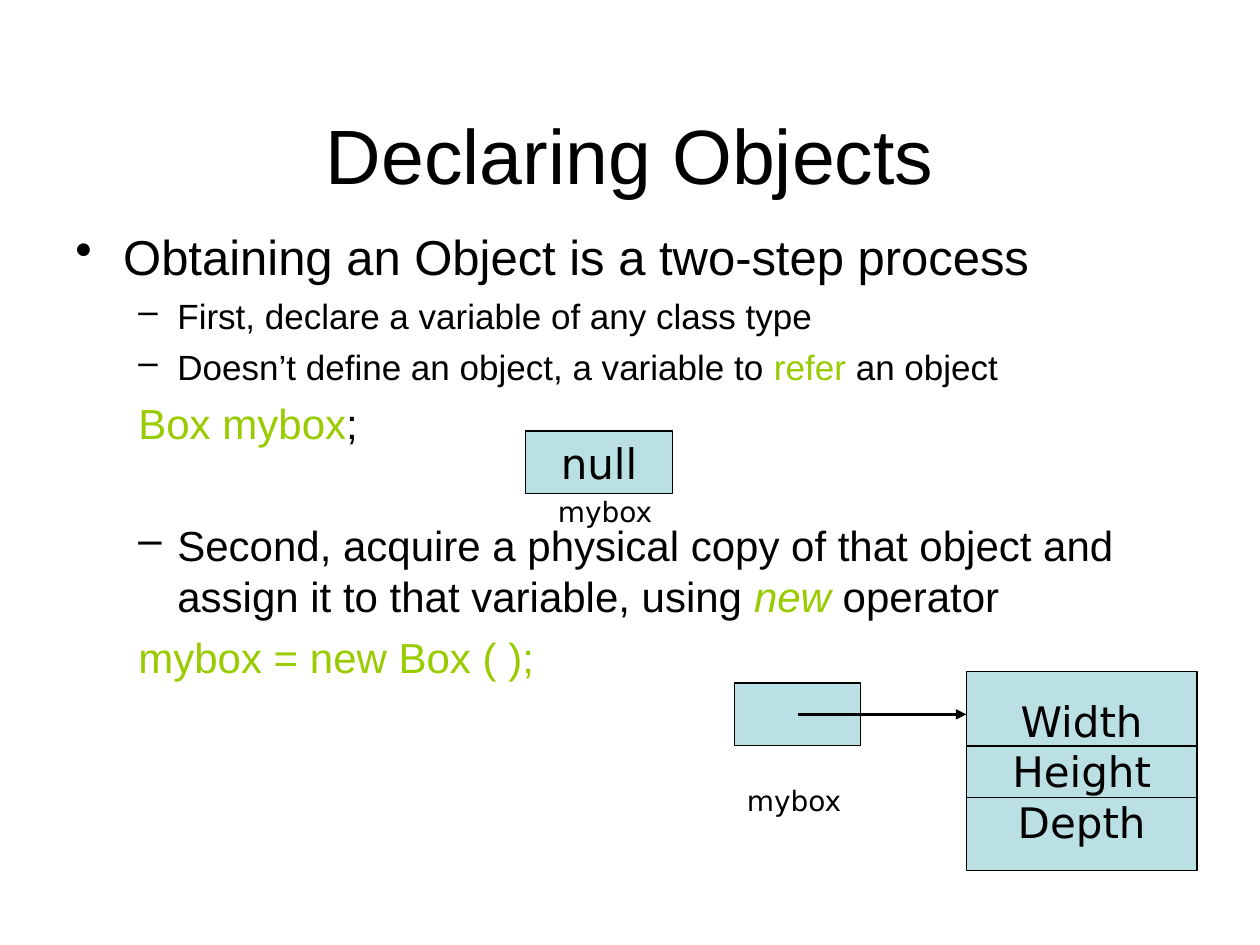
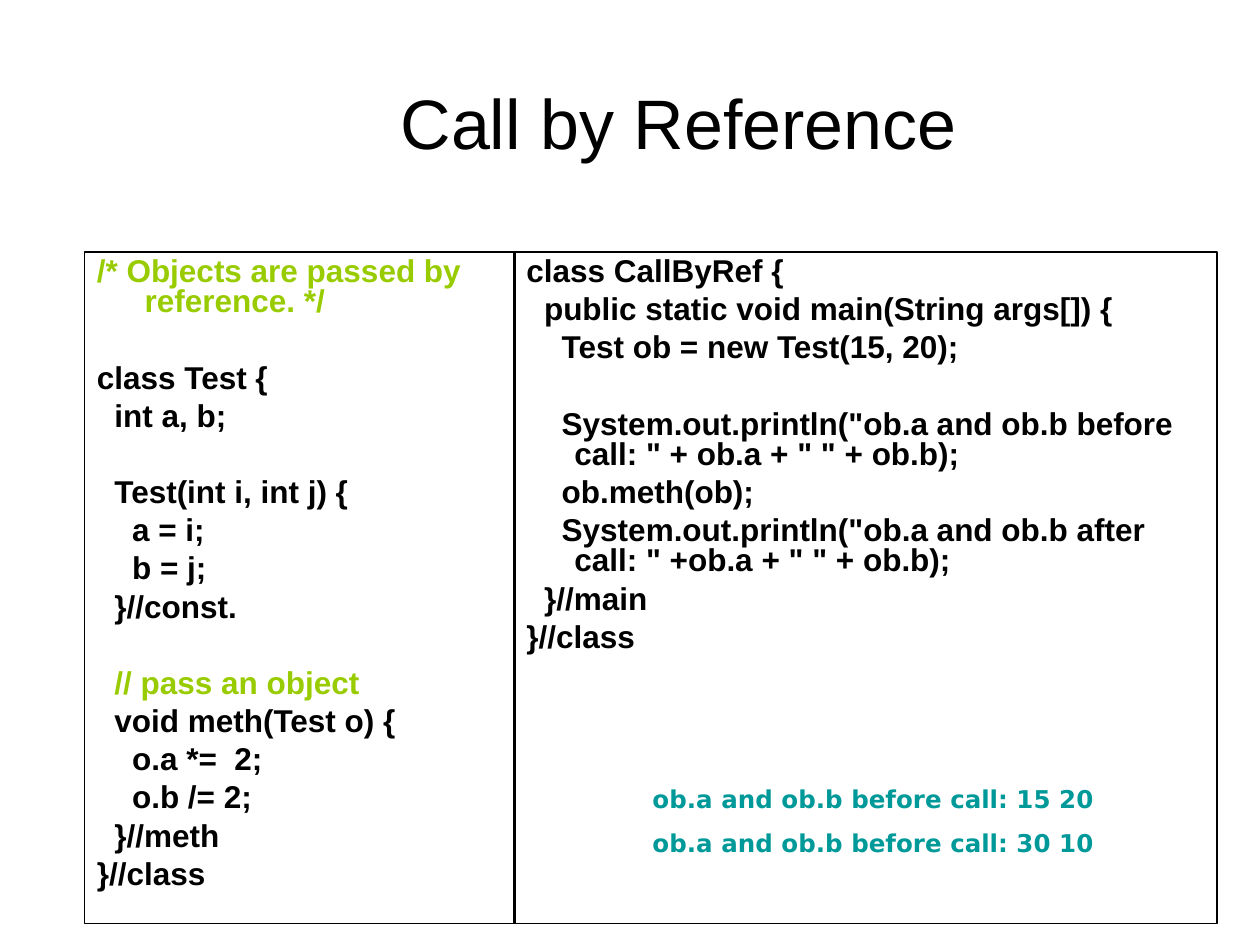
"""Build two slides on declaring objects and calling by reference in Java."""
from dataclasses import dataclass

from lxml.etree import SubElement
from pptx import Presentation
from pptx.dml.color import RGBColor
from pptx.enum.shapes import MSO_CONNECTOR as Connector, MSO_SHAPE as Preset
from pptx.enum.text import MSO_ANCHOR as Anchor, MSO_AUTO_SIZE as AutoSize, PP_ALIGN as Align
from pptx.oxml.ns import qn
from pptx.slide import Slide
from pptx.text.text import TextFrame
from pptx.util import Inches, Pt

BLACK = "000000"
GREEN = "99CC00"
TEAL = "009999"
PALE_BLUE = "BBE0E3"
BODY_FONT = "Arial"
LABEL_FONT = "DejaVu Sans"
CODE_STEP = 0.14
CODE_HANG = 0.38
CODE_SPACE = 4.5
CODE_GAP = 26.4


@dataclass(frozen=True)
class Box:
    """Place of an element in inches."""
    left: float
    top: float
    width: float
    height: float

    def lengths(self) -> tuple:
        """Return left, top, width and height as lengths."""
        return tuple(Inches(value) for value in (self.left, self.top, self.width, self.height))


@dataclass(frozen=True)
class Point:
    """Text of the outline with its format."""
    text: str
    size: int
    before: float
    bullet: str = ""
    left: float = 0.81
    hang: float = 0.31
    accent: str = ""
    italic: bool = False


@dataclass(frozen=True)
class CodeLine:
    """Line of code with its nesting level."""
    text: str
    level: int = 0
    gap: bool = False
    color: str = BLACK


@dataclass(frozen=True)
class Line:
    """Straight line between two places in inches."""
    start: tuple
    end: tuple
    weight: float = 0.75
    arrow: bool = False


OUTLINE = [
    Point("Obtaining an Object is a two-step process", 28, 7, "•", 0.38, 0.38),
    Point("First, declare a variable of any class type", 20, 5, "–"),
    Point("Doesn’t define an object, a variable to refer an object", 20, 5, "–", accent="refer"),
    Point("Box mybox;", 24, 6, accent="Box mybox"),
    Point("Second, acquire a physical copy of that object and assign it to that variable, "
          "using new operator", 24, 41, "–", accent="new", italic=True),
    Point("mybox = new Box ( );", 24, 6, accent="mybox = new Box ( );"),
]
RECTANGLES = [
    (Box(4.17, 3.42, 1.17, 0.5), ["null"]),
    (Box(5.83, 5.42, 1, 0.5), []),
    (Box(7.67, 5.33, 1.83, 1.58), ["Width", "Height", "Depth"]),
]
LINES = [
    Line((6.33, 5.67), (7.67, 5.67), 2, True),
    Line((7.67, 5.92), (9.5, 5.92)),
    Line((7.67, 6.33), (9.5, 6.33)),
]
VARIABLE_LABELS = [Box(5.83, 6.17, 1.08, 0.37), Box(4.33, 3.88, 1.08, 0.37)]
CODE_PANELS = [
    (Box(0.67, 2, 3.42, 5.33), [
        CodeLine("/* Objects are passed by reference. */", color=GREEN),
        CodeLine("class Test {", gap=True),
        CodeLine("int a, b;", 1),
        CodeLine("Test(int i, int j) {", 1, True),
        CodeLine("a = i;", 2),
        CodeLine("b = j;", 2),
        CodeLine("}//const.", 1),
        CodeLine("// pass an object", 1, True, GREEN),
        CodeLine("void meth(Test o) {", 1),
        CodeLine("o.a *=  2;", 2),
        CodeLine("o.b /= 2;", 2),
        CodeLine("}//meth", 1),
        CodeLine("}//class"),
    ]),
    (Box(4.08, 2, 5.58, 5.33), [
        CodeLine("class CallByRef {"),
        CodeLine("public static void main(String args[]) {", 1),
        CodeLine("Test ob = new Test(15, 20);", 2),
        CodeLine('System.out.println("ob.a and ob.b before call: " + ob.a + " " + ob.b);', 2, True),
        CodeLine("ob.meth(ob);", 2),
        CodeLine('System.out.println("ob.a and ob.b after call: " +ob.a + " " + ob.b);', 2),
        CodeLine("}//main", 1),
        CodeLine("}//class"),
    ]),
]
OUTPUT_LINES = ["ob.a and ob.b before call: 15 20", "ob.a and ob.b before call: 30 10"]


def rgb(color: str) -> RGBColor:
    """Turn a hex string into a colour."""
    return RGBColor.from_string(color)


def write(frame: TextFrame, text: str, *, size: float, font: str = BODY_FONT, color: str = BLACK,
          bold: bool = False, align: Align = Align.LEFT, before: float = 0, spacing: float = 1.0,
          left: float = 0, indent: float = 0, bullet: str = "", accent: str = "",
          italic_accent: bool = False) -> None:
    """Add a paragraph, with the accent part of its text in green."""
    paragraph = frame.paragraphs[-1]
    if paragraph.runs:
        paragraph = frame.add_paragraph()
    paragraph.alignment = align
    paragraph.space_before = Pt(before)
    paragraph.line_spacing = spacing
    properties = paragraph._p.get_or_add_pPr()
    properties.set("marL", str(Inches(left)))
    properties.set("indent", str(Inches(indent)))
    if bullet:
        SubElement(properties, qn("a:buChar")).set("char", bullet)
    else:
        SubElement(properties, qn("a:buNone"))
    parts = text.partition(accent) if accent else (text,)
    for index, part in enumerate(parts):
        if not part:
            continue
        accented = index == 1
        run = paragraph.add_run()
        run.text = part
        run.font.size = Pt(size)
        run.font.name = font
        run.font.bold = bold
        run.font.italic = accented and italic_accent
        run.font.color.rgb = rgb(GREEN if accented else color)


def add_titled_slide(presentation: Presentation, title: str, box: Box, size: float) -> Slide:
    """Add a title-only slide and format its title."""
    slide = presentation.slides.add_slide(presentation.slide_layouts[5])
    shape = slide.shapes.title
    shape.left, shape.top, shape.width, shape.height = box.lengths()
    shape.text_frame.auto_size = AutoSize.NONE
    shape.text_frame.vertical_anchor = Anchor.MIDDLE
    write(shape.text_frame, title, size=size, align=Align.CENTER)
    return slide


def add_text_box(slide: Slide, box: Box) -> TextFrame:
    """Add a wrapping text box and return its frame."""
    frame = slide.shapes.add_textbox(*box.lengths()).text_frame
    frame.word_wrap = True
    return frame


def add_rectangle(slide: Slide, box: Box, fill: str = "") -> TextFrame:
    """Add a thinly outlined rectangle and return its frame."""
    shape = slide.shapes.add_shape(Preset.RECTANGLE, *box.lengths())
    shape.shadow.inherit = False
    if fill:
        shape.fill.solid()
        shape.fill.fore_color.rgb = rgb(fill)
    else:
        shape.fill.background()
    shape.line.color.rgb = rgb(BLACK)
    shape.line.width = Pt(0.75)
    return shape.text_frame


def add_line(slide: Slide, line: Line) -> None:
    """Draw a straight line, with an arrowhead if it asks for one."""
    ends = [Inches(value) for value in (*line.start, *line.end)]
    connector = slide.shapes.add_connector(Connector.STRAIGHT, *ends)
    connector.line.color.rgb = rgb(BLACK)
    connector.line.width = Pt(line.weight)
    if line.arrow:
        SubElement(connector.line._get_or_add_ln(), qn("a:tailEnd")).set("type", "triangle")
    SubElement(connector._element.spPr, qn("a:effectLst"))


def build_declaring_objects(presentation: Presentation) -> None:
    """Build the slide on declaring objects."""
    slide = add_titled_slide(presentation, "Declaring Objects", Box(0.5, 0.89, 9, 0.66), 44)
    outline = add_text_box(slide, Box(0.5, 1.75, 9, 4.95))
    for point in OUTLINE:
        write(outline, point.text, size=point.size, before=point.before, left=point.left,
              indent=-point.hang, bullet=point.bullet, accent=point.accent,
              italic_accent=point.italic)
    for box, words in RECTANGLES:
        frame = add_rectangle(slide, box, PALE_BLUE)
        frame.word_wrap = False
        frame.vertical_anchor = Anchor.MIDDLE
        for word in words:
            write(frame, word, size=24, font=LABEL_FONT, align=Align.CENTER)
    for line in LINES:
        add_line(slide, line)
    for box in VARIABLE_LABELS:
        write(add_text_box(slide, box), "mybox", size=16, font=LABEL_FONT, before=10)


def build_call_by_reference(presentation: Presentation) -> None:
    """Build the slide on calling by reference."""
    slide = add_titled_slide(presentation, "Call by Reference", Box(0.92, 0.58, 8.93, 0.77), 40)
    for box, code in CODE_PANELS:
        frame = add_rectangle(slide, box)
        frame.word_wrap = True
        frame.vertical_anchor = Anchor.TOP
        for line in code:
            write(frame, line.text, size=18, color=line.color, bold=True, spacing=0.8,
                  before=CODE_GAP if line.gap else CODE_SPACE, left=CODE_HANG,
                  indent=line.level * CODE_STEP - CODE_HANG)
    output = add_text_box(slide, Box(5.08, 6.17, 3.92, 0.69))
    for text in OUTPUT_LINES:
        write(output, text, size=14, font=LABEL_FONT, color=TEAL, bold=True, before=8.8)


def main() -> None:
    """Build and save the presentation."""
    presentation = Presentation()
    presentation.slide_width = Inches(10)
    presentation.slide_height = Inches(7.5)
    build_declaring_objects(presentation)
    build_call_by_reference(presentation)
    presentation.save("out.pptx")


if __name__ == "__main__":
    main()
